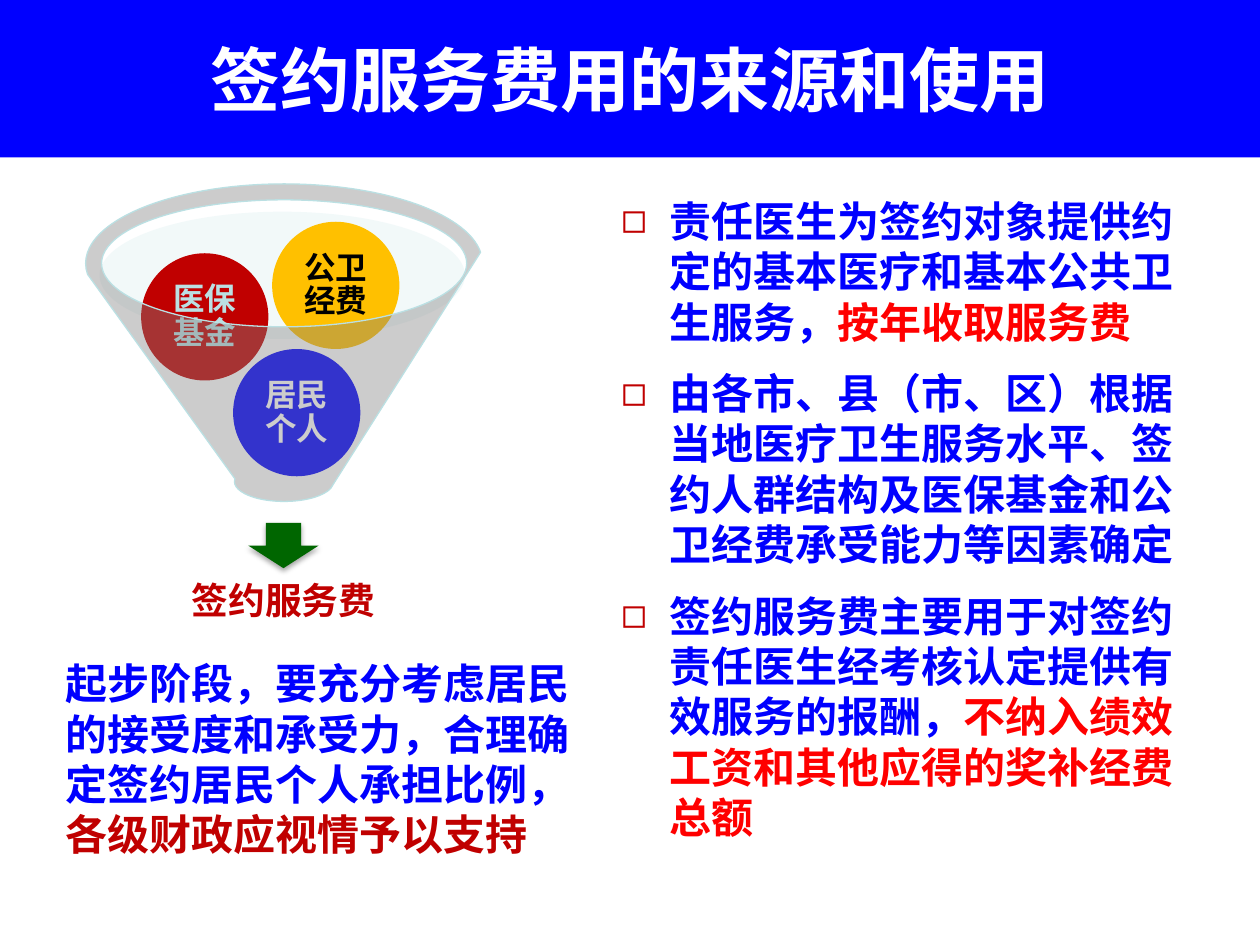
from typing import NamedTuple

from lxml.etree import SubElement
from pptx import Presentation
from pptx.dml.color import RGBColor
from pptx.enum.shapes import MSO_SHAPE
from pptx.enum.text import MSO_ANCHOR, MSO_AUTO_SIZE, PP_ALIGN
from pptx.oxml.ns import qn
from pptx.util import Inches, Pt

COLS, ROWS = 10, 7.5
WIDTH, HEIGHT = Inches(10), Inches(7.5)
SANS = "Noto Sans CJK SC"
BLUE, RED, DARK, WHITE = "0000FF", "FF0000", "C00000", "FFFFFF"
LEAD = 1.2
BALL = 1.01


class Box(NamedTuple):
    """Left, top, width and height in grid columns and rows."""
    x: float
    y: float
    w: float
    h: float


class Span(NamedTuple):
    text: str
    color: str


class Fund(NamedTuple):
    name: str
    x: float
    y: float
    fill: str
    ink: str


TITLE = Span("签约服务费用的来源和使用", WHITE)
POINTS = [
    [Span("责任医生为签约对象提供约定的基本医疗和基本公共卫生服务，", BLUE),
     Span("按年收取服务费", RED)],
    [Span("由各市、县（市、区）根据当地医疗卫生服务水平、"
          "签约人群结构及医保基金和公卫经费承受能力等因素确定", BLUE)],
    [Span("签约服务费主要用于对签约责任医生经考核认定提供有效服务的报酬，", BLUE),
     Span("不纳入绩效工资和其他应得的奖补经费总额", RED)],
]
NOTE = [
    Span("起步阶段，要充分考虑居民的接受度和承受力，合理确定签约居民个人承担比例，", BLUE),
    Span("各级财政应视情予以支持", DARK),
]
FUNDS = [
    Fund("居民个人", 1.85, 2.77, BLUE, WHITE),
    Fund("医保基金", 1.12, 2.01, DARK, "BBE0E3"),
    Fund("公卫经费", 2.16, 1.76, "FFC000", "000000"),
]


def rgb(code: str) -> RGBColor:
    return RGBColor.from_string(code)


def scale(box: Box) -> list[int]:
    """Turn grid units into slide lengths."""
    return [round(n * full / count) for n, full, count in
            zip(box, (WIDTH, HEIGHT) * 2, (COLS, ROWS) * 2)]


def place(shape, box: Box) -> None:
    shape.left, shape.top, shape.width, shape.height = scale(box)


def fade(fill, share: int) -> None:
    """Set the opacity of a solid fill, in percent."""
    color = fill._xPr.find(qn("a:solidFill"))[0]
    SubElement(color, qn("a:alpha"), val=str(share * 1000))


def draw(slide, kind: MSO_SHAPE, box: Box, color: str, share: int = 100):
    shape = slide.shapes.add_shape(kind, *scale(box))
    shape.shadow.inherit = False
    shape.fill.solid()
    shape.fill.fore_color.rgb = rgb(color)
    if share < 100:
        fade(shape.fill, share)
    shape.line.fill.background()
    return shape


def shade(shape) -> None:
    """Add a soft shadow straight below."""
    effects = shape._element.spPr.find(qn("a:effectLst"))
    outer = SubElement(effects, qn("a:outerShdw"), blurRad=str(Pt(3.1)),
                       dist=str(Pt(1.8)), dir="5400000", rotWithShape="0")
    color = SubElement(outer, qn("a:srgbClr"), val="000000")
    SubElement(color, qn("a:alpha"), val="35000")


def setup(frame, inset: float | None = None) -> None:
    frame.word_wrap = True
    frame.auto_size = MSO_AUTO_SIZE.NONE
    if inset is not None:
        frame.vertical_anchor = MSO_ANCHOR.MIDDLE
        frame.margin_left = frame.margin_right = Inches(inset)
        frame.margin_top = frame.margin_bottom = Inches(inset)


def write(para, spans: list[Span], size: int, lead: float = LEAD,
          align: PP_ALIGN = PP_ALIGN.LEFT, face: str = SANS) -> None:
    para.alignment = align
    para.line_spacing = Pt(round(size * lead, 1))
    font = para.font
    font.size, font.bold, font.name = Pt(size), True, face
    SubElement(para._p.pPr.find(qn("a:defRPr")), qn("a:ea"), typeface=SANS)
    if len(spans) == 1:
        font.color.rgb = rgb(spans[0].color)
    for span in spans:
        run = para.add_run()
        run.text = span.text
        if len(spans) > 1:
            run.font.color.rgb = rgb(span.color)


def mark(para) -> None:
    """Give a paragraph a hanging square bullet."""
    props = para._p.get_or_add_pPr()
    props.set("marL", str(Inches(0.38)))
    props.set("indent", str(-Inches(0.38)))
    color = SubElement(props, qn("a:buClr"))
    SubElement(color, qn("a:srgbClr"), val=DARK)
    SubElement(props, qn("a:buChar"), char="◻")


def head(slide) -> None:
    title = slide.shapes.title
    place(title, Box(0, 0, COLS, ROWS / 6))
    title.fill.solid()
    title.fill.fore_color.rgb = rgb(BLUE)
    setup(title.text_frame)
    title.text_frame.vertical_anchor = MSO_ANCHOR.MIDDLE
    write(title.text_frame.paragraphs[0], [TITLE], 40, align=PP_ALIGN.CENTER)


def rules(slide) -> None:
    body = slide.placeholders[1]
    place(body, Box(4.83, 1.5, 4.75, 5.5))
    frame = body.text_frame
    setup(frame)
    for i, spans in enumerate(POINTS):
        para = frame.add_paragraph() if i else frame.paragraphs[0]
        mark(para)
        para.space_before = Pt(12 if i else 0)
        write(para, spans, 24)


def label(slide, box: Box, spans: list[Span], size: int,
          inset: float | None = None, **style) -> None:
    frame = slide.shapes.add_textbox(*scale(box)).text_frame
    setup(frame, inset)
    write(frame.paragraphs[0], spans, size, **style)


def funnel(slide) -> None:
    draw(slide, MSO_SHAPE.OVAL, Box(0.79, 1.68, 2.9, BALL), "E0F0F2", 40)
    shade(draw(slide, MSO_SHAPE.DOWN_ARROW, Box(1.97, 4.15, 0.56, 0.36), "006600"))
    label(slide, Box(0.9, 4.44, 2.7, 0.68), [Span("签约服务费", DARK)], 21,
          0.16, lead=LEAD * 0.9, align=PP_ALIGN.CENTER, face="Arial")
    for fund in FUNDS:
        ball = draw(slide, MSO_SHAPE.OVAL, Box(fund.x, fund.y, BALL, BALL), fund.fill)
        setup(ball.text_frame, 0.03)
        write(ball.text_frame.paragraphs[0], [Span(fund.name, fund.ink)], 18,
              LEAD * 0.9, PP_ALIGN.CENTER)
    cone = draw(slide, MSO_SHAPE.FUNNEL, Box(0.68, 1.46, 3.15, 2.52), "808080", 40)
    cone.line.color.rgb = rgb("BBE0E3")
    cone.line.width = Pt(0.75)


def main() -> None:
    deck = Presentation()
    deck.slide_width, deck.slide_height = WIDTH, HEIGHT
    slide = deck.slides.add_slide(deck.slide_layouts[1])
    head(slide)
    rules(slide)
    label(slide, Box(0.42, 5.17, 4.33, 1.72), NOTE, 24)
    funnel(slide)
    deck.save("out.pptx")


if __name__ == "__main__":
    main()
